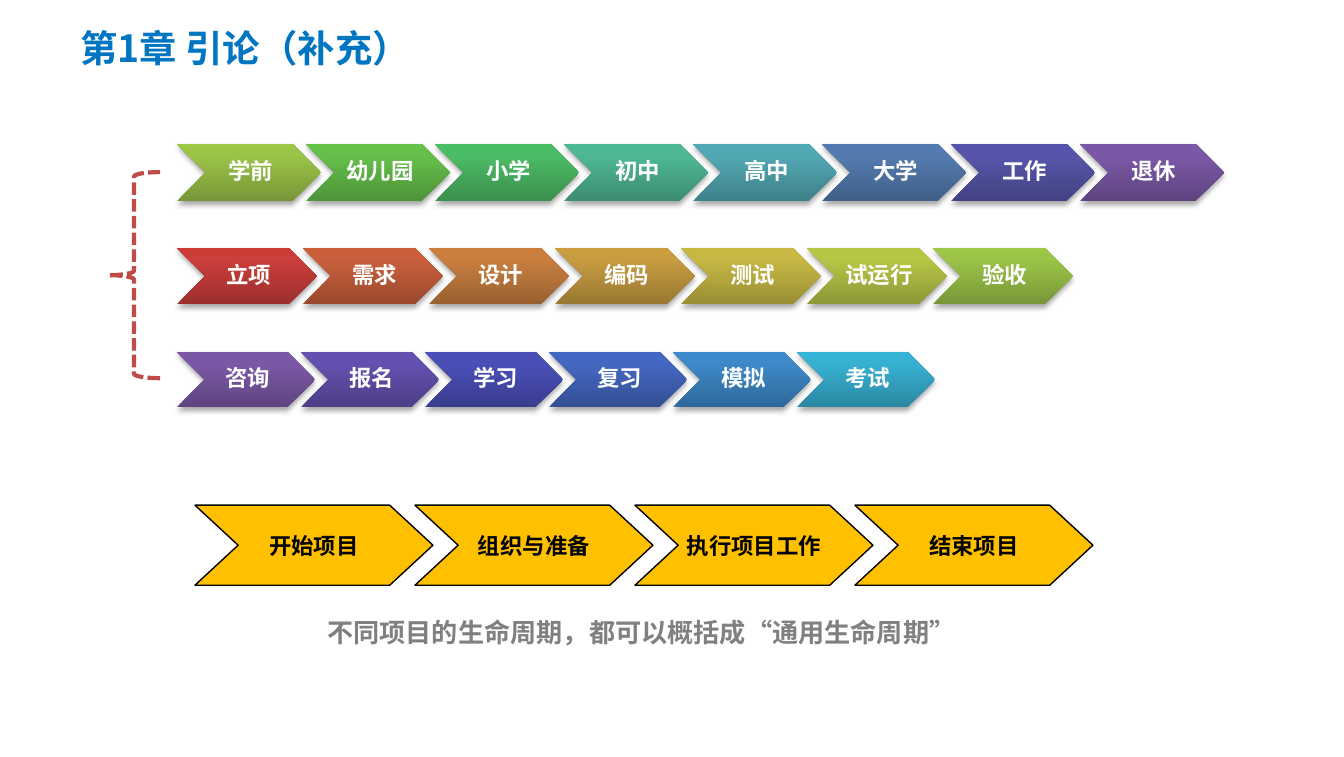
from lxml import etree
from pptx import Presentation
from pptx.dml.color import RGBColor
from pptx.enum.dml import MSO_LINE
from pptx.enum.shapes import MSO_SHAPE
from pptx.enum.text import MSO_ANCHOR, MSO_AUTO_SIZE, PP_ALIGN
from pptx.oxml.ns import qn
from pptx.util import Inches, Pt

PIXEL = 914400 / 134.4
FONT = "Noto Sans CJK SC"
CHEVRON = MSO_SHAPE.CHEVRON
BRACE = MSO_SHAPE.RIGHT_BRACE
DASH = MSO_LINE.SQUARE_DOT
MIDDLE = MSO_ANCHOR.MIDDLE
TOP = MSO_ANCHOR.TOP
CENTER = PP_ALIGN.CENTER
LEFT = PP_ALIGN.LEFT
GROW = MSO_AUTO_SIZE.SHAPE_TO_FIT_TEXT

LIFE_STEPS = [
    ("学前", "779737", "9BC348", "9DC746"),
    ("幼儿园", "4E9339", "65BF4A", "64C348"),
    ("小学", "3B904D", "4CBB65", "4ABE64"),
    ("初中", "3C8D72", "4EB794", "4DBA96"),
    ("高中", "3E818A", "51A8B3", "4FAAB6"),
    ("大学", "405F87", "537BAF", "527CB1"),
    ("工作", "424283", "5655AA", "5554AD"),
    ("退休", "5F4480", "7B58A6", "7C57A8"),
]
SOFTWARE_STEPS = [
    ("立项", "9C2F2D", "CB3E3A", "CE3B37"),
    ("需求", "9B492E", "C95F3C", "CD5E3A"),
    ("设计", "9A6130", "C87E3F", "CC7E3C"),
    ("编码", "997832", "C79C41", "CB9D3F"),
    ("测试", "988E34", "C6B843", "C9BB41"),
    ("试运行", "8D9736", "B7C546", "B9C844"),
    ("验收", "779737", "9BC348", "9DC746"),
]
COURSE_STEPS = [
    ("咨询", "5F4480", "7B58A6", "7C57A8"),
    ("报名", "4D3E87", "6451AF", "6450B2"),
    ("学习", "393D8E", "4A4FB8", "484EBB"),
    ("复习", "345094", "4468C1", "4168C4"),
    ("模拟", "2F699B", "3D89C9", "3B8ACD"),
    ("考试", "2A88A2", "37B1D2", "34B4D6"),
]
GENERIC_STEPS = ["开始项目", "组织与准备", "执行项目工作", "结束项目"]


def px(value):
    return round(value * PIXEL)


def color(value):
    return RGBColor.from_string(value)


def write(shape, text, size=12, fill="FFFFFF", align=CENTER, anchor=MIDDLE,
          wrap=True, spacing=None, insets=None):
    frame = shape.text_frame
    frame.word_wrap = wrap
    frame.vertical_anchor = anchor
    if insets:
        (frame.margin_left, frame.margin_top,
         frame.margin_right, frame.margin_bottom) = map(px, insets)
    para = frame.paragraphs[0]
    para.alignment = align
    if spacing:
        para.line_spacing = spacing
    span = para.add_run()
    span.text = text
    span.font.size = Pt(size)
    span.font.bold = True
    span.font.color.rgb = color(fill)
    span.font.name = FONT
    properties = span._r.get_or_add_rPr()
    etree.SubElement(properties, qn("a:ea"), typeface=FONT)


def add_text(page, box, text, **style):
    shape = page.shapes.add_textbox(*map(px, box))
    write(shape, text, align=LEFT, anchor=TOP, **style)
    return shape


def add_plain_shape(page, kind, box):
    shape = page.shapes.add_shape(kind, *map(px, box))
    shape.shadow.inherit = False
    return shape


def set_gradient(shape, colors):
    shape.fill.gradient()
    gradient = shape.element.spPr.find(qn("a:gradFill"))
    for child in list(gradient):
        gradient.remove(child)
    stops = etree.SubElement(gradient, qn("a:gsLst"))
    for position, value in zip((0, 80000, 100000), colors):
        stop = etree.SubElement(stops, qn("a:gs"), pos=str(position))
        etree.SubElement(stop, qn("a:srgbClr"), val=value)
    etree.SubElement(gradient, qn("a:lin"), ang="16200000", scaled="0")


def set_shadow(shape):
    effects = shape.element.spPr.find(qn("a:effectLst"))
    shadow = etree.SubElement(
        effects, qn("a:outerShdw"), blurRad=str(Pt(3.1)), dist=str(Pt(1.8)),
        dir="5400000", rotWithShape="0")
    shade = etree.SubElement(shadow, qn("a:srgbClr"), val="000000")
    etree.SubElement(shade, qn("a:alpha"), val="35000")


def add_colored_steps(page, steps, top, pitch, width, height):
    for index, (label, *colors) in enumerate(steps):
        box = (177 + index * pitch, top, width, height)
        chevron = add_plain_shape(page, CHEVRON, box)
        set_gradient(chevron, colors)
        chevron.line.fill.background()
        set_shadow(chevron)
        write(chevron, label, spacing=0.9, insets=(7, 3, 3, 3))


def add_generic_steps(page):
    for index, label in enumerate(GENERIC_STEPS):
        chevron = add_plain_shape(page, CHEVRON, (195 + index * 220, 505, 238, 80))
        chevron.adjustments[0] = 0.54
        chevron.fill.solid()
        chevron.fill.fore_color.rgb = color("FFC000")
        chevron.line.color.rgb = color("000000")
        chevron.line.width = Pt(0.75)
        write(chevron, label, fill="000000", wrap=False)


def add_brace(page):
    brace = add_plain_shape(page, BRACE, (108, 172, 52, 206))
    brace.rotation = 180
    brace.fill.background()
    brace.line.color.rgb = color("BF4C48")
    brace.line.width = Pt(2.25)
    brace.line.dash_style = DASH


def main():
    deck = Presentation()
    deck.slide_width = Inches(10)
    deck.slide_height = Inches(5.63)
    page = deck.slides.add_slide(deck.slide_layouts[6])
    add_brace(page)
    add_text(page, (67, 19, 922, 52), "第1章 引论（补充）", size=20, fill="0075C2")
    caption = add_text(page, (314, 609, 660, 46),
                       "不同项目的生命周期，都可以概括成“通用生命周期”",
                       size=14, fill="808080", wrap=False)
    caption.text_frame.auto_size = GROW
    add_colored_steps(page, LIFE_STEPS, 144, 129, 144, 57)
    add_colored_steps(page, SOFTWARE_STEPS, 248, 126, 140, 56)
    add_colored_steps(page, COURSE_STEPS, 352, 124, 138, 55)
    add_generic_steps(page)
    deck.save("out.pptx")


main()
